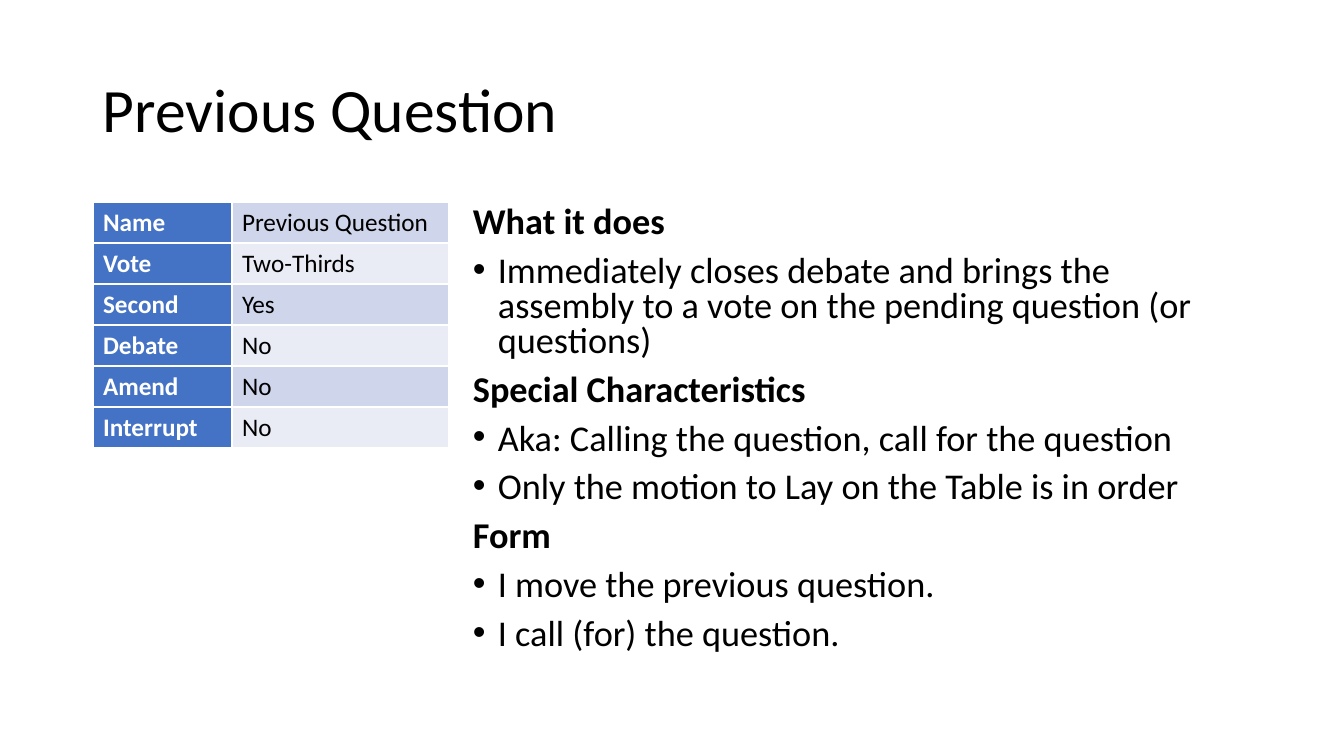
from dataclasses import dataclass

from lxml import etree
from pptx import Presentation
from pptx import util as u
from pptx.dml.color import RGBColor
from pptx.enum import text
from pptx.oxml import ns

EMU_PER_PX = 914400 / 100.8


@dataclass(frozen=True)
class Theme:
    font: str = "Calibri"
    ink: str = "000000"
    white: str = "FFFFFF"
    header: str = "4472C4"
    bands: tuple = ("CFD5EA", "E9EBF5")
    title_size: float = 44
    body_size: float = 25.9
    table_size: float = 18
    border: float = 1


THEME = Theme()

MOTION = [
    ("Name", "Previous Question"),
    ("Vote", "Two-Thirds"),
    ("Second", "Yes"),
    ("Debate", "No"),
    ("Amend", "No"),
    ("Interrupt", "No"),
]

SECTIONS = [
    ("What it does", [
        "Immediately closes debate and brings the assembly to a vote "
        "on the pending question (or questions)",
    ]),
    ("Special Characteristics", [
        "Aka: Calling the question, call for the question",
        "Only the motion to Lay on the Table is in order",
    ]),
    ("Form", [
        "I move the previous question.",
        "I call (for) the question.",
    ]),
]


def px(n):
    return u.Emu(round(n * EMU_PER_PX))


def apply(obj, formats):
    for name, value in formats.items():
        setattr(obj, name, value)


def add_run(p, words, size, color=THEME.ink, bold=False):
    r = p.add_run()
    r.text = words
    apply(r.font, {"name": THEME.font, "size": u.Pt(size), "bold": bold})
    r.font.color.rgb = RGBColor.from_string(color)


def add_textbox(slide, box, anchor):
    tf = slide.shapes.add_textbox(*map(px, box)).text_frame
    apply(tf, {"word_wrap": True, "vertical_anchor": anchor})
    return tf


def add_bullet(p):
    pPr = p._p.get_or_add_pPr()
    pPr.set("marL", str(px(25)))
    pPr.set("indent", str(-px(25)))
    font = etree.SubElement(pPr, ns.qn("a:buFont"))
    font.set("typeface", "Arial")
    etree.SubElement(pPr, ns.qn("a:buChar")).set("char", "•")


def add_title(slide, words, box):
    p = add_textbox(slide, box, text.MSO_ANCHOR.MIDDLE).paragraphs[0]
    p.line_spacing = 0.9
    add_run(p, words, THEME.title_size)


def add_sections(slide, sections, box):
    tf = add_textbox(slide, box, text.MSO_ANCHOR.TOP)
    lines = []
    for heading, points in sections:
        lines.append((heading, True))
        lines += [(point, False) for point in points]
    for i, (words, is_heading) in enumerate(lines):
        p = tf.add_paragraph() if i else tf.paragraphs[0]
        apply(p, {"line_spacing": 0.8, "space_before": u.Pt(10)})
        if not is_heading:
            add_bullet(p)
        add_run(p, words, THEME.body_size, bold=is_heading)


def add_borders(cell):
    tcPr = cell._tc.get_or_add_tcPr()
    for side in ("lnL", "lnR", "lnT", "lnB"):
        ln = etree.SubElement(tcPr, ns.qn(f"a:{side}"))
        ln.set("w", str(u.Pt(THEME.border)))
        fill = etree.SubElement(ln, ns.qn("a:solidFill"))
        etree.SubElement(fill, ns.qn("a:srgbClr")).set("val", THEME.white)


def fill_cell(cell, words, fill, color, bold):
    add_borders(cell)
    cell.fill.solid()
    cell.fill.fore_color.rgb = RGBColor.from_string(fill)
    add_run(cell.text_frame.paragraphs[0], words, THEME.table_size, color, bold)


def add_motion_table(slide, rows, left, top, widths, row_height):
    table = slide.shapes.add_table(
        len(rows), len(widths), px(left), px(top),
        px(sum(widths)), px(row_height * len(rows))).table
    apply(table, {"first_row": False, "first_col": True, "horz_banding": False})
    for column, width in zip(table.columns, widths):
        column.width = px(width)
    for i, (label, value) in enumerate(rows):
        table.rows[i].height = px(row_height)
        band = THEME.bands[i % len(THEME.bands)]
        fill_cell(table.cell(i, 0), label, THEME.header, THEME.white, True)
        fill_cell(table.cell(i, 1), value, band, THEME.ink, False)


def main():
    prs = Presentation()
    apply(prs, {"slide_width": px(1344), "slide_height": px(756)})
    slide = prs.slides.add_slide(prs.slide_layouts[6])
    add_title(slide, "Previous Question", (93, 40, 1159, 146))
    add_motion_table(slide, MOTION, 93, 202, (139, 217), 41)
    add_sections(slide, SECTIONS, (463, 202, 788, 480))
    prs.save("out.pptx")


main()
